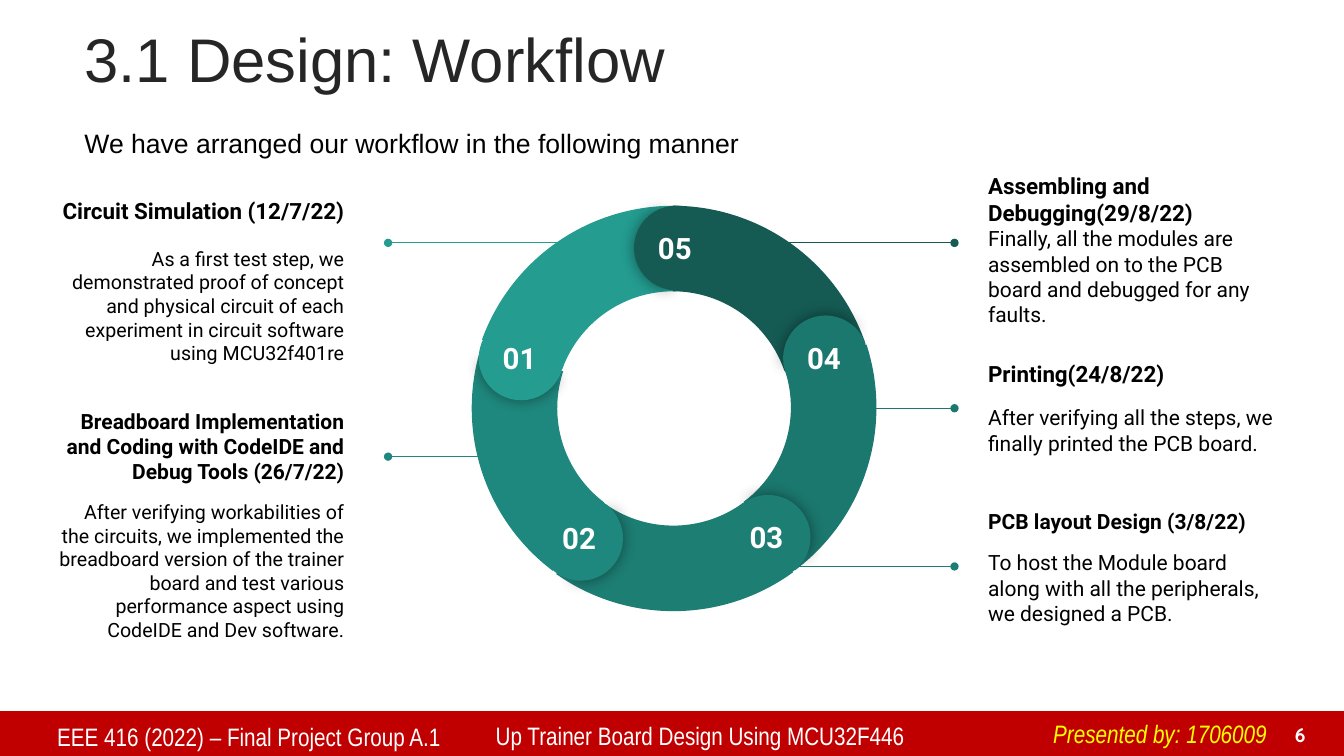
from lxml import etree
from pptx import Presentation
from pptx.dml.color import RGBColor
from pptx.enum.shapes import MSO_CONNECTOR, MSO_SHAPE
from pptx.enum.text import MSO_ANCHOR, PP_ALIGN
from pptx.oxml.ns import qn
from pptx.util import Pt

LINE = MSO_CONNECTOR.STRAIGHT
ARC, PIE, RECT = MSO_SHAPE.BLOCK_ARC, MSO_SHAPE.PIE, MSO_SHAPE.RECTANGLE
TOP, MIDDLE, BOTTOM = MSO_ANCHOR.TOP, MSO_ANCHOR.MIDDLE, MSO_ANCHOR.BOTTOM
LEFT, CENTER, RIGHT = PP_ALIGN.LEFT, PP_ALIGN.CENTER, PP_ALIGN.RIGHT

BLACK = RGBColor(0x00, 0x00, 0x00)
WHITE = RGBColor(0xFF, 0xFF, 0xFF)
DARK = RGBColor(0x26, 0x26, 0x26)
RED = RGBColor(0xC0, 0x00, 0x00)
YELLOW = RGBColor(0xFF, 0xFF, 0x00)
TEAL_1 = RGBColor(0x24, 0x9C, 0x90)
TEAL_2 = RGBColor(0x1F, 0x88, 0x7E)
TEAL_3 = RGBColor(0x1D, 0x7E, 0x74)
TEAL_4 = RGBColor(0x1B, 0x78, 0x6E)
TEAL_5 = RGBColor(0x15, 0x5B, 0x54)

RING, KNOB = 291, 60.5
NOTE_W, NOTE_H = 223.2, 97.2
LEFT_X, RIGHT_X = 32.4, 696.2
LEFT_DOT, RIGHT_DOT = 277.2, 681.8

STEPS = [
    ("01", TEAL_1, (335.5, 147, 350), (342, 225.4, 284.1)),
    ("02", TEAL_2, (337, 146, 277), (384.5, 354.2, 211.1)),
    ("03", TEAL_3, (335.5, 145.5, 204), (518.4, 353.5, 139.1)),
    ("04", TEAL_4, (335, 145.5, 132), (559.4, 225.4, 67.1)),
    ("05", TEAL_5, (335, 147, 60), (452.9, 146.9, 357.1)),
]

LINKS = [
    (406, LEFT_DOT, 173.5, TEAL_1),
    (375, LEFT_DOT, 326.2, TEAL_2),
    (489, RIGHT_DOT, 404.6, TEAL_3),
    (589, RIGHT_DOT, 291.6, TEAL_4),
    (547, RIGHT_DOT, 173.5, TEAL_5),
]

NOTES = [
    (LEFT_X, 151.9, RIGHT, 16, 14, 16.4,
     "Circuit Simulation (12/7/22)",
     "As a first test step, we demonstrated proof of concept and physical "
     "circuit of each experiment in circuit software using MCU32f401re"),
    (LEFT_X, 326.2, RIGHT, 15, 14, 11.7,
     "Breadboard Implementation and Coding with CodeIDE and Debug Tools (26/7/22)",
     "After verifying workabilities of the circuits, we implemented the "
     "breadboard version of the trainer board and test various performance "
     "aspect using CodeIDE and Dev software."),
    (RIGHT_X, 356.4, LEFT, 15, 15, 11.7,
     "PCB layout Design (3/8/22)",
     "To host the Module board along with all the peripherals, we designed a PCB."),
    (RIGHT_X, 242.6, LEFT, 16, 15, 12.9,
     "Printing(24/8/22)",
     "After verifying all the steps, we finally printed the PCB board."),
    (RIGHT_X, 129.6, LEFT, 16, 15, 0,
     "Assembling and Debugging(29/8/22)",
     "Finally, all the modules are assembled on to the PCB board and debugged "
     "for any faults."),
]


def add_frame(slide, x, y, w, h, anchor=TOP, pad_x=7.2, pad_y=3.6):
    frame = slide.shapes.add_textbox(Pt(x), Pt(y), Pt(w), Pt(h)).text_frame
    frame.word_wrap = True
    frame.vertical_anchor = anchor
    frame.margin_left = frame.margin_right = Pt(pad_x)
    frame.margin_top = frame.margin_bottom = Pt(pad_y)
    return frame


def set_text(para, text, size, face, color, bold=False, align=LEFT):
    para.text = text
    para.alignment = align
    font = para.font
    font.size, font.name, font.bold = Pt(size), face, bold
    font.color.rgb = color
    return para


def add_shape(slide, kind, x, y, w, h, color, turn=0, adjust=()):
    shape = slide.shapes.add_shape(kind, Pt(x), Pt(y), Pt(w), Pt(h))
    shape.shadow.inherit = False
    shape.fill.solid()
    shape.fill.fore_color.rgb = color
    shape.line.fill.background()
    shape.rotation = turn % 360
    for i, value in enumerate(adjust):
        shape.adjustments[i] = value
    return shape


def add_glow(shape):
    effect = shape._element.spPr.find(qn("a:effectLst"))
    shade = etree.SubElement(effect, qn("a:outerShdw"), blurRad=str(Pt(11.2)),
                             dist="0", dir="0", algn="ctr", rotWithShape="0")
    color = etree.SubElement(shade, qn("a:srgbClr"), val="000000")
    etree.SubElement(color, qn("a:alpha"), val="43000")


def add_link(slide, start, end, y, color):
    link = slide.shapes.add_connector(LINE, Pt(start), Pt(y), Pt(end), Pt(y))
    link.line.color.rgb = color
    link.line.width = Pt(0.75)
    props = link._element.spPr
    etree.SubElement(props.find(qn("a:ln")), qn("a:tailEnd"), type="oval")
    etree.SubElement(props, qn("a:effectLst"))


def add_note(slide, x, y, align, head_size, body_size, gap, head, body):
    frame = add_frame(slide, x, y, NOTE_W, NOTE_H, MIDDLE, 9.6, 9.6)
    set_text(frame.paragraphs[0], head, head_size, "Roboto", BLACK, True, align)
    para = set_text(frame.add_paragraph(), body, body_size, "Roboto", BLACK, align=align)
    para.space_before = Pt(gap)


def add_knob(slide, label, color, x, y, turn):
    cap = add_shape(slide, PIE, x, y, KNOB, KNOB, color, turn, (61.9, 149.96))
    add_glow(cap)
    add_shape(slide, PIE, x, y, KNOB, KNOB, color, turn + 179.3, (40.28, 171.84))
    frame = add_frame(slide, x + 2.5, y + 8, 53.3, 28, TOP, 9.6, 9.6)
    set_text(frame.paragraphs[0], label, 21, "Roboto", WHITE, True, CENTER)


def add_ring(slide):
    for label, color, (x, y, turn), knob in STEPS:
        add_shape(slide, ARC, x, y, RING, RING, color, turn, (126.03, 168.68, 0.21))
    for label, color, arc, knob in STEPS:
        add_knob(slide, label, color, *knob)


def add_footer(slide):
    add_shape(slide, RECT, 0, 508, 960, 32, RED)
    for x, y, w, text, color in [
        (33.8, 511.9, 321, "EEE 416 (2022) – Final Project Group A.1", WHITE),
        (347, 511.2, 330.5, "Up Trainer Board Design Using MCU32F446", WHITE),
        (745.2, 509.8, 174.2, "Presented by: 1706009", YELLOW),
    ]:
        para = add_frame(slide, x, y, w, 28).paragraphs[0]
        set_text(para, text, 18, "Arial Narrow", color)
        para.font.italic = color == YELLOW
    frame = add_frame(slide, 898.6, 511.9, 41, 24.5, BOTTOM)
    set_text(frame.paragraphs[0], "6", 14, "Quicksand", WHITE, True, RIGHT)


def main():
    deck = Presentation()
    deck.slide_width, deck.slide_height = Pt(960), Pt(540)
    slide = deck.slides.add_slide(deck.slide_layouts[6])
    add_footer(slide)
    title = add_frame(slide, 53.3, 15.8, 792, 57.6, MIDDLE).paragraphs[0]
    set_text(title, "3.1 Design: Workflow", 44, "Arial", DARK)
    title.line_spacing = 0.9
    intro = add_frame(slide, 53.3, 86.4, 504, 31.7, MIDDLE).paragraphs[0]
    set_text(intro, "We have arranged our workflow in the following manner", 19, "Arial", BLACK)
    for link in LINKS:
        add_link(slide, *link)
    for note in NOTES:
        add_note(slide, *note)
    add_ring(slide)
    deck.save("out.pptx")


if __name__ == "__main__":
    main()
